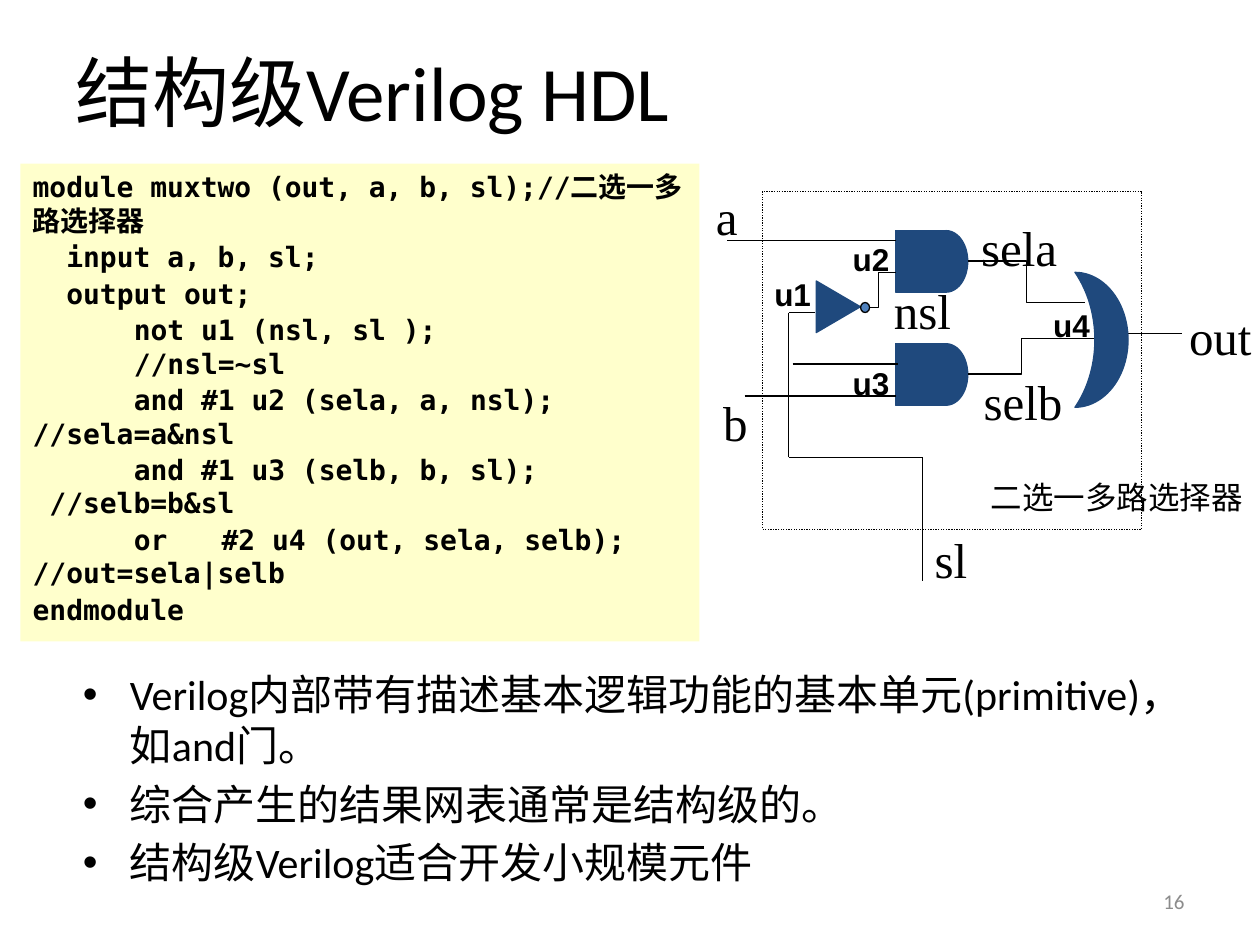
from pptx import Presentation
from pptx.dml.color import RGBColor
from pptx.enum.dml import MSO_LINE
from pptx.enum.shapes import MSO_CONNECTOR, MSO_SHAPE
from pptx.enum.text import MSO_ANCHOR, PP_ALIGN
from pptx.oxml.ns import qn
from pptx.util import Cm, Pt
from lxml.etree import SubElement

BLACK = RGBColor(0x00, 0x00, 0x00)
GRAY = RGBColor(0x8C, 0x8C, 0x8C)
NAVY = RGBColor(0x1F, 0x49, 0x7D)
BLUE = RGBColor(0x4F, 0x81, 0xBD)
CREAM = RGBColor(0xFF, 0xFF, 0xCC)

SANS = "Calibri"
MONO = "DejaVu Sans Mono"
CHAR = 0.34

CODE = [
    (0, 0, ["module muxtwo (out, a, b, sl);//二选一多路选择器"]),
    (2, 0, ["input a, b, sl;"]),
    (2, 0, ["output out;"]),
    (6, 6, ["not u1 (nsl, sl );", "//nsl=~sl"]),
    (6, 0, ["and #1 u2 (sela, a, nsl);", "//sela=a&nsl"]),
    (6, 0, ["and #1 u3 (selb, b, sl);", " //selb=b&sl"]),
    (6, 0, ["or\t#2 u4 (out, sela, selb);", "//out=sela|selb"]),
    (0, 0, ["endmodule"]),
]
BULLETS = [
    "Verilog内部带有描述基本逻辑功能的基本单元(primitive)，如and门。",
    "综合产生的结果网表通常是结构级的。",
    "结构级Verilog适合开发小规模元件",
]
SIGNALS = [
    ("a", 14.3, 3.38), ("b", 14.45, 7.54), ("sl", 18.71, 10.3),
    ("sela", 19.65, 4.0), ("selb", 19.7, 7.1), ("nsl", 17.89, 5.27),
    ("out", 23.84, 5.8),
]
GATE_NAMES = [
    ("u1", 15.48, 5.22), ("u2", 17.06, 4.51),
    ("u3", 17.06, 7.0), ("u4", 21.1, 5.83),
]
WIRES = [
    (14.66, 4.85, 18.06, 4.85), (15.01, 7.98, 18.06, 7.98),
    (18.59, 9.22, 18.59, 11.71), (22.56, 6.73, 23.83, 6.73),
    (16.43, 6.3, 15.9, 6.3), (15.9, 6.3, 15.9, 9.22),
    (15.9, 9.22, 18.59, 9.22), (15.98, 7.34, 18.11, 7.34),
]
BENT_WIRES = [
    (17.35, 6.2, 18.06, 5.49, 50000),
    (19.51, 5.26, 21.87, 6.1, 50000),
    (19.51, 7.54, 22.07, 6.83, 42100),
]


def add_run(p, text, size, font=SANS, color=BLACK, bold=False):
    r = p.add_run()
    r.text = text
    r.font.size = Pt(size)
    r.font.name = font
    r.font.bold = bold
    r.font.color.rgb = color


def add_text_frame(s, x, y, w, h, anchor=MSO_ANCHOR.TOP, wrap=True):
    tf = s.shapes.add_textbox(Cm(x), Cm(y), Cm(w), Cm(h)).text_frame
    tf.word_wrap = wrap
    tf.vertical_anchor = anchor
    return tf


def add_line(s, box, size, text, align, color=BLACK):
    p = add_text_frame(s, *box, MSO_ANCHOR.MIDDLE).paragraphs[0]
    p.alignment = align
    add_run(p, text, size, color=color)


def add_label(s, text, x, y, h, top, size, font, bold=False):
    tf = add_text_frame(s, x, y, 2.34 if len(text) > 1 else 1.1, h, wrap=False)
    tf.margin_left = tf.margin_right = Cm(0.13)
    tf.margin_top, tf.margin_bottom = Cm(top), 0
    add_run(tf.paragraphs[0], text, size, font, bold=bold)


def add_block(s, kind, x, y, w, h, fill=None, line=None, rotation=0):
    sp = s.shapes.add_shape(kind, Cm(x), Cm(y), Cm(w), Cm(h))
    sp.shadow.inherit = False
    sp.rotation = rotation
    if fill is None:
        sp.fill.background()
    else:
        sp.fill.solid()
        sp.fill.fore_color.rgb = fill
    if line is None:
        sp.line.fill.background()
    else:
        sp.line.color.rgb = line
        sp.line.width = Pt(0.75)
    return sp


def add_wire(s, x1, y1, x2, y2, bend=None):
    kind = MSO_CONNECTOR.STRAIGHT if bend is None else MSO_CONNECTOR.ELBOW
    c = s.shapes.add_connector(kind, Cm(x1), Cm(y1), Cm(x2), Cm(y2))
    c.line.color.rgb = BLACK
    c.line.width = Pt(0.75)
    sp_pr = c._element.spPr
    SubElement(sp_pr, qn("a:effectLst"))
    if bend is not None:
        guides = sp_pr.find(qn("a:prstGeom")).find(qn("a:avLst"))
        SubElement(guides, qn("a:gd"), name="adj1", fmla=f"val {bend}")


def add_and_gate(s, y):
    add_block(s, MSO_SHAPE.OVAL, 18.64, y, 0.87, 1.24, NAVY, NAVY)
    add_block(s, MSO_SHAPE.RECTANGLE, 18.06, y, 1.02, 1.24, NAVY, NAVY)


def add_title(s):
    sp = s.shapes.title
    sp.left, sp.top, sp.width, sp.height = Cm(1.27), Cm(0.76), Cm(22.86), Cm(2.13)
    tf = sp.text_frame
    tf.vertical_anchor = MSO_ANCHOR.MIDDLE
    p = tf.paragraphs[0]
    p.alignment = PP_ALIGN.LEFT
    add_run(p, "结构级Verilog HDL", 44)


def add_code(s):
    sp = add_block(s, MSO_SHAPE.RECTANGLE, 0.41, 3.3, 13.69, 9.63, CREAM)
    tf = sp.text_frame
    tf.word_wrap = True
    tf.vertical_anchor = MSO_ANCHOR.TOP
    for i, (first, rest, parts) in enumerate(CODE):
        p = tf.add_paragraph() if i else tf.paragraphs[0]
        p.alignment = PP_ALIGN.LEFT
        p.space_before = Pt(1.6)
        pr = p._p.get_or_add_pPr()
        pr.set("marL", str(Cm(rest * CHAR)))
        pr.set("indent", str(Cm((first - rest) * CHAR)))
        tabs = SubElement(pr, qn("a:tabLst"))
        SubElement(tabs, qn("a:tab"), pos=str(Cm(12 * CHAR)), algn="l")
        for j, part in enumerate(parts):
            if j:
                p.add_line_break()
            add_run(p, part, 16, MONO, bold=True)


def add_bullets(s):
    tf = add_text_frame(s, 1.42, 13.36, 22.78, 5.08)
    for i, text in enumerate(BULLETS):
        p = tf.add_paragraph() if i else tf.paragraphs[0]
        p.space_before = Pt(4.8)
        pr = p._p.get_or_add_pPr()
        pr.set("marL", str(Cm(0.95)))
        pr.set("indent", str(Cm(-0.95)))
        SubElement(pr, qn("a:buFont"), typeface="Arial")
        SubElement(pr, qn("a:buChar"), char="•")
        add_run(p, text, 24)


def add_circuit(s):
    for y in (4.65, 6.93):
        add_and_gate(s, y)
    add_block(s, MSO_SHAPE.ISOSCELES_TRIANGLE, 16.38, 5.74, 1.04, 0.89, NAVY, NAVY, 90)
    for wire in WIRES + BENT_WIRES:
        add_wire(s, *wire)
    add_block(s, MSO_SHAPE.OVAL, 17.35, 6.1, 0.18, 0.2, BLUE, BLACK)
    moon = add_block(s, MSO_SHAPE.MOON, 21.67, 5.49, 1.07, 2.72, NAVY, NAVY, 180)
    moon.adjustments[0] = 0.625
    frame = add_block(s, MSO_SHAPE.RECTANGLE, 15.37, 3.86, 7.65, 6.81, line=BLACK)
    frame.line.dash_style = MSO_LINE.ROUND_DOT
    for text, x, y in SIGNALS:
        add_label(s, text, x, y, 1.7, 0.38, 28, "Times New Roman")
    for text, x, y in GATE_NAMES:
        add_label(s, text, x, y, 1.3, 0.33, 18, "Arial", True)


def main():
    prs = Presentation()
    prs.slide_width, prs.slide_height = Cm(25.4), Cm(19.05)
    s = prs.slides.add_slide(prs.slide_layouts[5])
    add_title(s)
    add_bullets(s)
    add_code(s)
    add_circuit(s)
    add_line(s, (19.63, 9.32, 5.77, 1.4), 18, "二选一多路选择器", PP_ALIGN.CENTER)
    add_line(s, (18.21, 17.65, 5.92, 1.02), 12, "16", PP_ALIGN.RIGHT, GRAY)
    prs.save("out.pptx")


if __name__ == "__main__":
    main()
